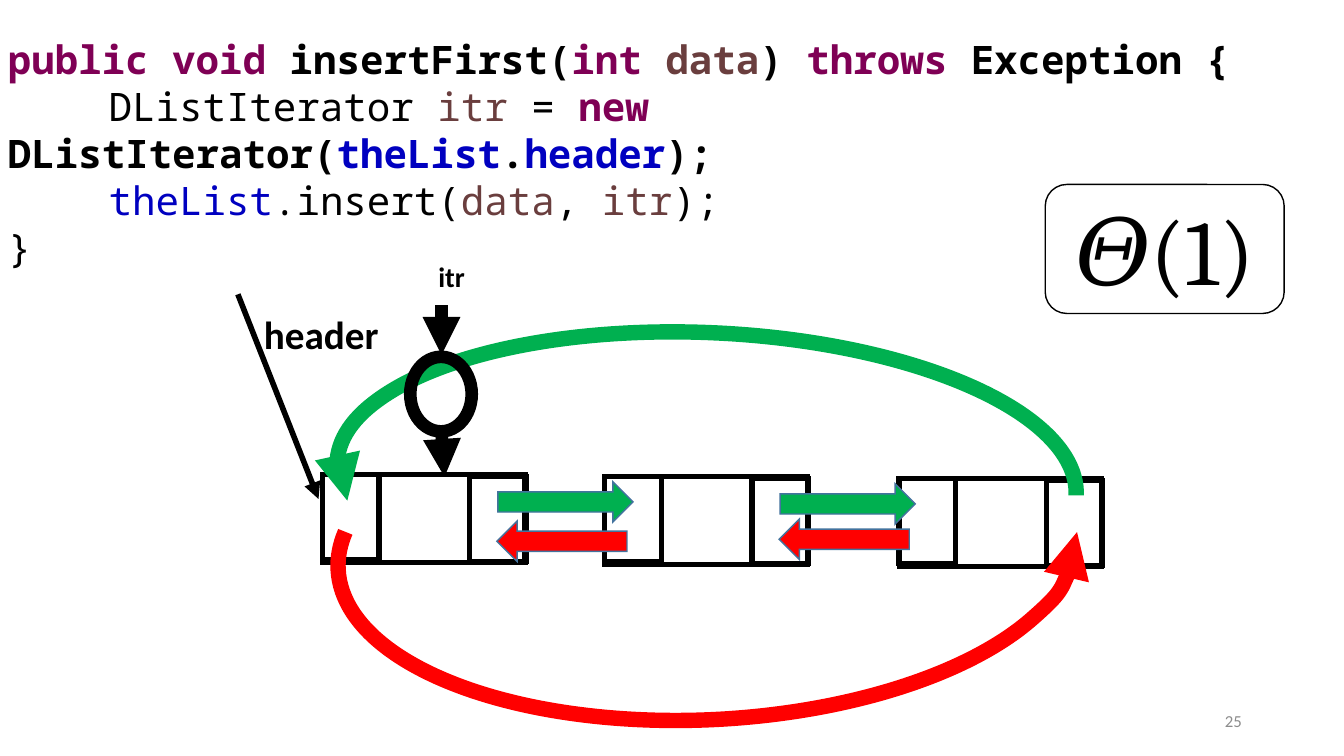
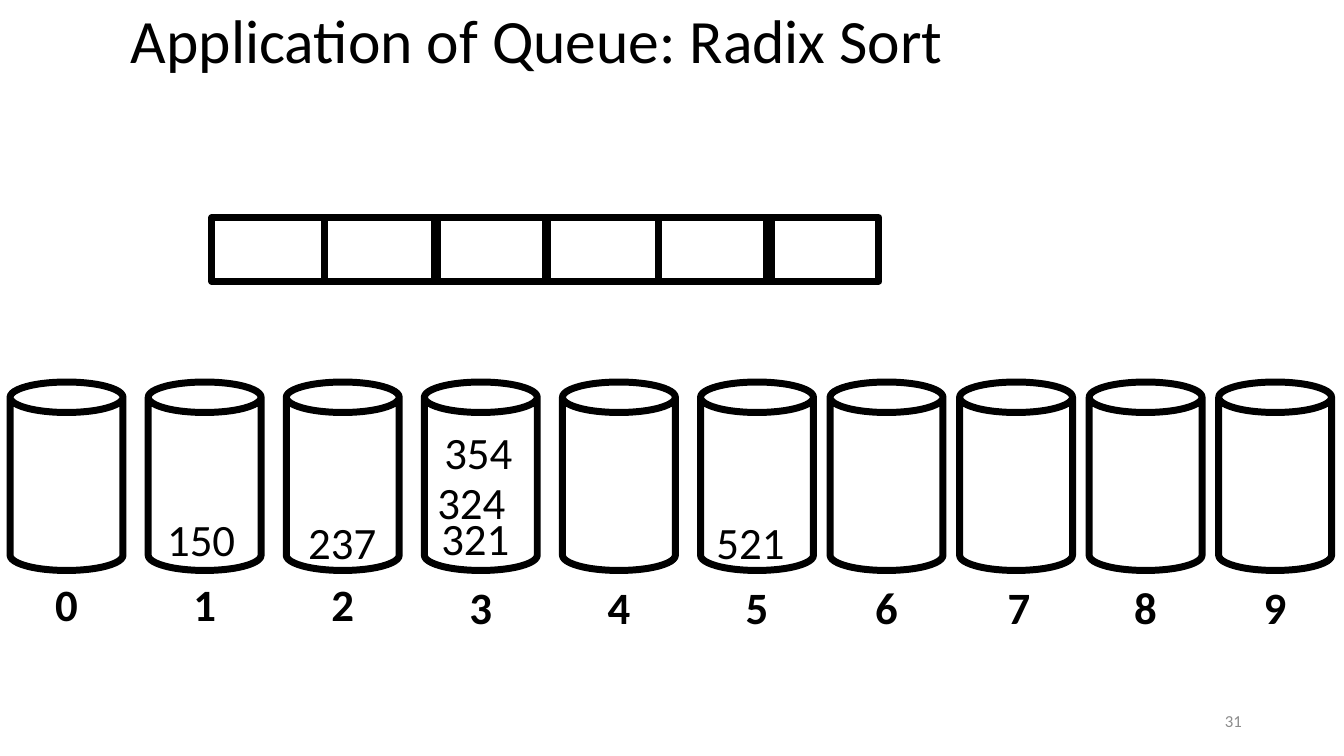
from dataclasses import dataclass

from pptx import Presentation
from pptx.dml.color import RGBColor
from pptx.enum import shapes, text
from pptx.oxml import ns, xmlchemy
from pptx.util import Inches, Pt


@dataclass(frozen=True)
class Theme:
    black: str = "000000"
    grey: str = "8C8C8C"
    green: str = "00B050"
    red: str = "FF0000"
    arrow_edge: str = "43739E"
    keyword: str = "7F0055"
    variable: str = "6A3E3E"
    field: str = "0000C0"
    body_font: str = "Calibri"
    code_font: str = "Noto Sans Mono"
    math_font: str = "Cambria"
    title_size: int = 44
    code_size: int = 28
    number_size: int = 32
    iterator_size: int = 20
    formula_size: int = 66
    footer_size: int = 12
    thin: float = 1
    cell_line: float = 3.75
    pointer_line: float = 4
    bold_line: float = 5
    iterator_line: float = 9
    arc_line: float = 11


THEME = Theme()
SHAPE = shapes.MSO_SHAPE
ALIGN = text.PP_ALIGN
MIDDLE = text.MSO_ANCHOR.MIDDLE


def place(left, top, width, height):
    return Inches(left), Inches(top), Inches(width), Inches(height)


def add_run(paragraph, words, size, color=THEME.black, bold=False, font=THEME.body_font):
    run = paragraph.add_run()
    run.text = words
    run.font.name = font
    run.font.size = Pt(size)
    run.font.bold = bold
    run.font.color.rgb = RGBColor.from_string(color)
    return run


def add_text(slide, box, words, size, color=THEME.black, bold=False,
             align=ALIGN.LEFT, anchor=text.MSO_ANCHOR.TOP):
    frame = slide.shapes.add_textbox(*place(*box)).text_frame
    frame.word_wrap = True
    frame.vertical_anchor = anchor
    paragraph = frame.paragraphs[0]
    paragraph.alignment = align
    add_run(paragraph, words, size, color, bold)
    return paragraph


def add_part(parent, tag, **attributes):
    part = xmlchemy.OxmlElement(tag)
    for name, value in attributes.items():
        part.set(name, value)
    parent.append(part)
    return part


def add_line_part(shape, tag, **attributes):
    """Append a join or an arrowhead to the outline of a shape."""
    add_part(shape.element.spPr.find(ns.qn("a:ln")), tag, **attributes)


def add_figure(slide, kind, box, line_width, line=THEME.black, fill=None, sharp=True):
    shape = slide.shapes.add_shape(kind, *place(*box))
    shape.shadow.inherit = False
    if fill:
        shape.fill.solid()
        shape.fill.fore_color.rgb = RGBColor.from_string(fill)
    else:
        shape.fill.background()
    shape.line.color.rgb = RGBColor.from_string(line)
    shape.line.width = Pt(line_width)
    if sharp:
        add_line_part(shape, "a:miter", lim="800000")
    return shape


def add_arrow(slide, start, end, width):
    arrow = slide.shapes.add_connector(
        shapes.MSO_CONNECTOR.STRAIGHT, *place(*start, *end))
    arrow.line.color.rgb = RGBColor.from_string(THEME.black)
    arrow.line.width = Pt(width)
    add_line_part(arrow, "a:tailEnd", type="triangle")
    add_part(arrow.element.spPr, "a:effectLst")


def add_page_number(slide, number):
    add_text(slide, (9.42, 6.95, 3, 0.4), str(number), THEME.footer_size,
             THEME.grey, align=ALIGN.RIGHT, anchor=MIDDLE)


def add_code(slide, box):
    black, keyword, variable, field = (
        THEME.black, THEME.keyword, THEME.variable, THEME.field)
    lines = [
        [("public void ", keyword, True), ("insertFirst(", black, True),
         ("int ", keyword, True), ("data", variable, True), (") ", black, True),
         ("throws", keyword, True), (" Exception {", black, True)],
        [("\tDListIterator ", black, False), ("itr", variable, False),
         (" = ", black, False), ("new ", keyword, True),
         ("DListIterator(", black, True), ("theList", field, True),
         (".", black, True), ("header", field, True), (");", black, True)],
        [("\ttheList", field, False), (".insert(", black, False),
         ("data", variable, False), (", ", black, False),
         ("itr", variable, False), (");", black, False)],
        [("}", black, False)],
    ]
    frame = slide.shapes.add_textbox(*place(*box)).text_frame
    frame.word_wrap = True
    for index, line in enumerate(lines):
        paragraph = frame.add_paragraph() if index else frame.paragraphs[0]
        paragraph.alignment = ALIGN.LEFT
        tabs = add_part(paragraph._p.get_or_add_pPr(), "a:tabLst")
        add_part(tabs, "a:tab", pos=str(Inches(1)), algn="l")
        for words, color, bold in line:
            add_run(paragraph, words, THEME.code_size, color, bold, THEME.code_font)


def add_node(slide, left, top):
    """Draw a list node: a wide cell with a link cell at each end."""
    for dx, dy, width, height in (
            (0, 0, 2.01, 0.87), (0, 0, 0.56, 0.84), (1.46, 0.02, 0.56, 0.84)):
        add_figure(slide, SHAPE.RECTANGLE, (left + dx, top + dy, width, height),
                   THEME.cell_line)


def add_links(slide, left, top, drop):
    """Draw the forward arrow and, lower by drop, the backward one."""
    add_figure(slide, SHAPE.RIGHT_ARROW, (left, top, 1.34, 0.4), THEME.thin,
               THEME.arrow_edge, THEME.green)
    add_figure(slide, SHAPE.LEFT_ARROW, (left - 0.01, top + drop, 1.29, 0.4),
               THEME.thin, THEME.arrow_edge, THEME.red)


def add_wrap_arc(slide, box, color, rotation, head, flipped=False):
    arc = add_figure(slide, SHAPE.ARC, box, THEME.arc_line, color)
    arc.adjustments[0] = 104.46
    arc.adjustments[1] = 0
    arc.rotation = rotation
    if flipped:
        arc.element.spPr.find(ns.qn("a:xfrm")).set("flipV", "1")
    add_line_part(arc, head, type="triangle")


def add_linked_list(slide, left, top):
    add_arrow(slide, (left - 0.84, top - 1.79), (left - 0.04, top + 0.24),
              THEME.pointer_line)
    for index, dx in enumerate((0, 2.8, 5.72)):
        add_node(slide, left + dx, top + 0.02 * index)
    for index, drop in enumerate((0.39, 0.35)):
        add_links(slide, left + 1.74 + 2.8 * index, top + 0.07 + 0.02 * index, drop)
    add_wrap_arc(slide, (left + 0.14, top - 1.41, 7.34, 2.91),
                 THEME.green, 2.5, "a:headEnd")
    add_wrap_arc(slide, (left + 0.15, top - 0.92, 7.34, 3.35),
                 THEME.red, 357.1, "a:tailEnd", flipped=True)
    add_text(slide, (left - 0.68, top - 1.68, 2.14, 0.61), "header",
             THEME.code_size, bold=True)


def add_iterator(slide, left, top):
    """Draw the iterator's label, ring and the arrows into and out of it."""
    center = left + 0.31
    add_figure(slide, SHAPE.OVAL, (left, top + 1.02, 0.61, 0.74), THEME.iterator_line)
    add_arrow(slide, (center, top + 1.76), (center + 0.03, top + 2.21),
              THEME.iterator_line)
    add_arrow(slide, (center, top + 0.51), (center, top + 1), THEME.iterator_line)
    add_text(slide, (left + 0.18, top, 0.77, 0.52), "itr",
             THEME.iterator_size, bold=True)


def add_complexity(slide, box):
    badge = add_figure(slide, SHAPE.ROUNDED_RECTANGLE, box, THEME.thin)
    badge.text_frame.vertical_anchor = MIDDLE
    paragraph = badge.text_frame.paragraphs[0]
    paragraph.alignment = ALIGN.CENTER
    theta = add_run(paragraph, "𝛩", THEME.formula_size, font=THEME.math_font)
    theta.font._element.set("spc", "1300")
    add_run(paragraph, "(1)", THEME.formula_size, font=THEME.math_font)


def add_array(slide, left, top):
    for dx in (0, 1.12, 2.21, 3.31, 4.43, 5.5):
        add_figure(slide, SHAPE.RECTANGLE, (left + dx, top, 1.12, 0.63),
                   THEME.bold_line, sharp=False)


def add_bucket(slide, left, top, digit, values):
    """Draw one digit's bucket; values are (number, dx, dy) within it."""
    width, label_width = 1.12, 0.61
    for number, dx, dy in values:
        add_text(slide, (left + dx, top + dy, 1, 0.64), number, THEME.number_size)
    can = add_figure(slide, SHAPE.CAN, (left, top, width, 1.87),
                     THEME.bold_line, sharp=False)
    can.adjustments[0] = 0.27
    label_left = left + (width - label_width) / 2 + (0.03 if digit == 7 else 0)
    label_top = top + (1.88 if digit < 3 else 1.91)
    add_text(slide, (label_left, label_top, label_width, 0.64),
             str(digit), THEME.number_size, bold=True, align=ALIGN.CENTER)


def add_buckets(slide, left, top):
    contents = {
        1: [("150", 0.09, 1.24)],
        2: [("237", 0.12, 1.27)],
        3: [("321", 0.07, 1.23), ("354", 0.1, 0.37), ("324", 0.03, 0.87)],
        5: [("521", 0.06, 1.27)],
    }
    for digit in range(10):
        offset = 1.37 * min(digit, 5) + 1.285 * max(digit - 5, 0)
        add_bucket(slide, left + offset, top, digit, contents.get(digit, []))


def build_insert_first(slide):
    add_code(slide, (-0.02, 0.3, 13.33, 1.99))
    add_linked_list(slide, 3.2, 4.71)
    add_iterator(slide, 4.07, 2.52)
    add_complexity(slide, (10.37, 1.83, 2.37, 1.28))
    add_page_number(slide, 25)


def build_radix_sort(slide):
    title = add_text(slide, (1.2, -0.29, 11.5, 1.45), "Application of Queue: Radix Sort",
                     THEME.title_size, anchor=MIDDLE)
    title.line_spacing = 0.9
    add_array(slide, 2.1, 2.16)
    add_buckets(slide, 0.1, 3.79)
    add_page_number(slide, 31)


def main():
    presentation = Presentation()
    presentation.slide_width = Inches(40 / 3)
    presentation.slide_height = Inches(7.5)
    blank = presentation.slide_layouts[6]
    for build in (build_insert_first, build_radix_sort):
        build(presentation.slides.add_slide(blank))
    presentation.save("out.pptx")


if __name__ == "__main__":
    main()
